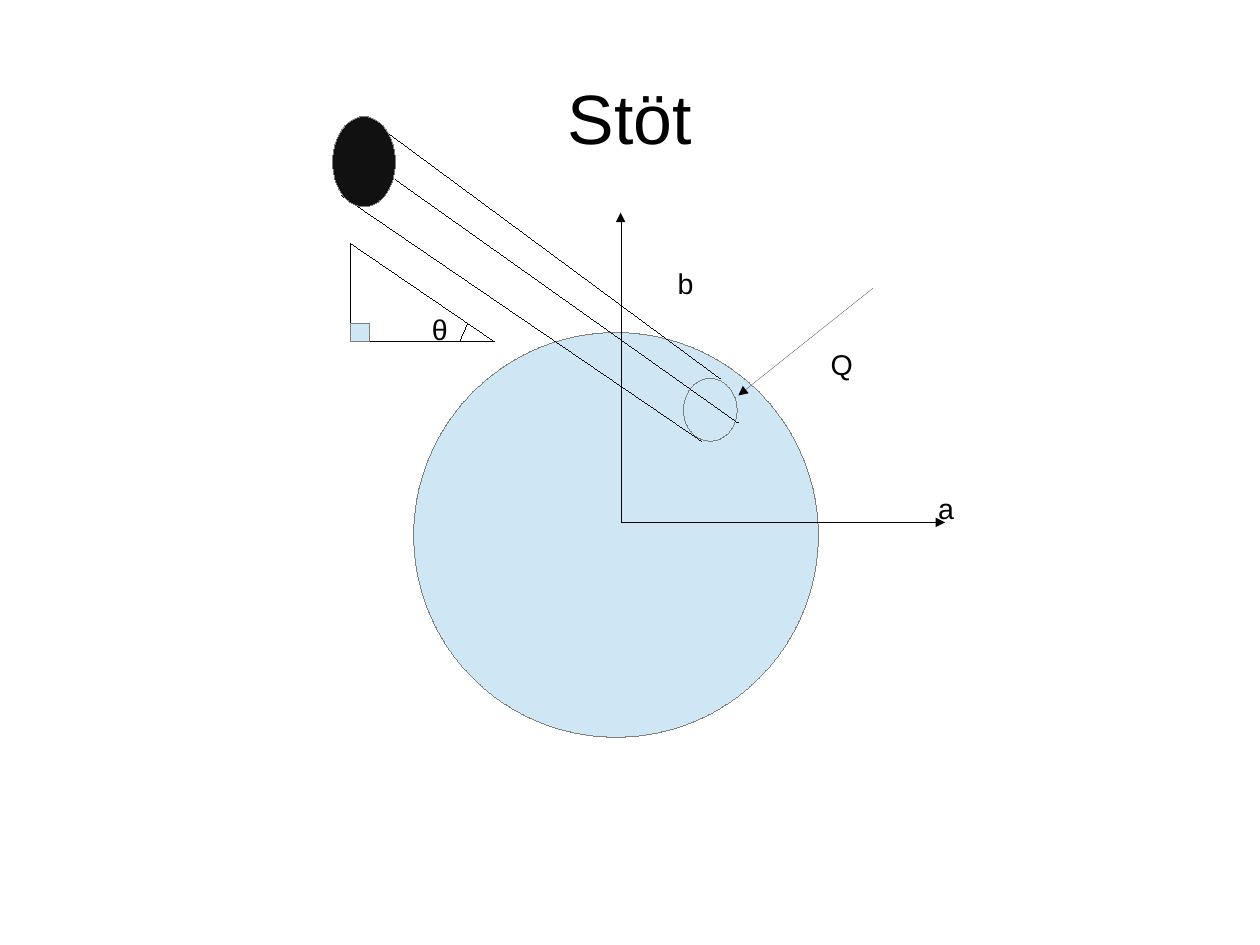
"""Build the slide on a ball being struck off centre."""
from dataclasses import dataclass
from typing import Optional

from lxml.etree import SubElement
from pptx import Presentation
from pptx.dml.color import RGBColor
from pptx.enum.shapes import MSO_CONNECTOR as Connector, MSO_SHAPE as Preset
from pptx.enum.text import MSO_ANCHOR as Anchor, MSO_AUTO_SIZE as AutoSize, PP_ALIGN as Align
from pptx.oxml.ns import qn
from pptx.util import Emu, Pt

SLIDE_WIDTH, SLIDE_HEIGHT = Emu(10080625), Emu(7559675)
PX = 9144
FONT = "Arial"
COLORS = {"black": "000000", "cue": "111111", "ball": "CFE7F5", "outline": "808080"}


@dataclass
class Figure:
    preset: Preset
    left: int
    top: int
    width: int
    height: int
    fill: Optional[str] = None


@dataclass
class Stroke:
    start: tuple[int, int]
    end: tuple[int, int]
    arrow: bool = False


@dataclass
class Label:
    text: str
    left: int
    top: int
    width: int
    height: int = 38
    wrap: bool = True


ORIGIN = (543, 457)
TOP_CORNER, RIGHT_ANGLE, ANGLE_CORNER = (307, 213), (307, 299), (433, 299)

BALL = Figure(Preset.OVAL, 362, 291, 354, 354, "ball")
AXES = [
    Stroke(ORIGIN, (543, 186), arrow=True),
    Stroke(ORIGIN, (827, 457), arrow=True),
]
CONTACT = Figure(Preset.OVAL, 598, 331, 47, 55)
CONTACT_POINTER = Stroke((764, 252), (646, 346), arrow=True)
CUE_LINES = [
    Stroke((630, 331), (331, 110)),
    Stroke((614, 386), (299, 171)),
    Stroke((646, 370), (346, 157)),
]
CUE_END = Figure(Preset.OVAL, 291, 102, 55, 79, "cue")
TRIANGLE = [
    Stroke(TOP_CORNER, RIGHT_ANGLE),
    Stroke(ANGLE_CORNER, RIGHT_ANGLE),
    Stroke(TOP_CORNER, ANGLE_CORNER),
]
RIGHT_ANGLE_MARK = Figure(Preset.RECTANGLE, 307, 283, 16, 16, "ball")
ANGLE_MARK = Stroke((409, 283), (402, 299))
DRAWING = [
    BALL, *AXES, CONTACT, CONTACT_POINTER, *CUE_LINES,
    CUE_END, *TRIANGLE, RIGHT_ANGLE_MARK, ANGLE_MARK,
]
LABELS = [
    Label("a", 811, 425, 31),
    Label("b", 583, 228, 34),
    Label("Q", 717, 299, 39, wrap=False),
    Label("θ", 368, 268, 34, 39, wrap=False),
]


def px(*lengths: int) -> list[Emu]:
    return [Emu(length * PX) for length in lengths]


def color(name: str) -> RGBColor:
    return RGBColor.from_string(COLORS[name])


def format_paragraph(paragraph, size: int, alignment: Align) -> None:
    paragraph.alignment = alignment
    paragraph.font.name = FONT
    paragraph.font.size = Pt(size)
    paragraph.font.color.rgb = color("black")


def set_hairline(shape, name: str) -> None:
    shape.line.color.rgb = color(name)
    shape._element.spPr.find(qn("a:ln")).set("w", "0")


def set_title(slide, text: str) -> None:
    title = slide.shapes.title
    title.left, title.top, title.width, title.height = px(55, 33, 992, 138)
    frame = title.text_frame
    frame.text = text
    frame.vertical_anchor = Anchor.MIDDLE
    frame.margin_left = frame.margin_top = frame.margin_right = frame.margin_bottom = 0
    format_paragraph(frame.paragraphs[0], 44, Align.CENTER)


def draw_figure(slide, figure: Figure) -> None:
    box = px(figure.left, figure.top, figure.width, figure.height)
    shape = slide.shapes.add_shape(figure.preset, *box)
    shape.shadow.inherit = False
    if figure.fill:
        shape.fill.solid()
        shape.fill.fore_color.rgb = color(figure.fill)
    else:
        shape.fill.background()
    set_hairline(shape, "outline")


def draw_stroke(slide, stroke: Stroke) -> None:
    ends = px(*stroke.start, *stroke.end)
    connector = slide.shapes.add_connector(Connector.STRAIGHT, *ends)
    set_hairline(connector, "black")
    properties = connector._element.spPr
    if stroke.arrow:
        SubElement(properties.find(qn("a:ln")), qn("a:tailEnd"), type="triangle")
    SubElement(properties, qn("a:effectLst"))


def draw_label(slide, label: Label) -> None:
    box = px(label.left, label.top, label.width, label.height)
    frame = slide.shapes.add_textbox(*box).text_frame
    frame.text = label.text
    frame.word_wrap = label.wrap
    frame.auto_size = AutoSize.SHAPE_TO_FIT_TEXT
    format_paragraph(frame.paragraphs[0], 18, Align.LEFT)


def main() -> None:
    presentation = Presentation()
    presentation.slide_width, presentation.slide_height = SLIDE_WIDTH, SLIDE_HEIGHT
    slide = presentation.slides.add_slide(presentation.slide_layouts[5])
    set_title(slide, "Stöt")
    for part in DRAWING:
        if isinstance(part, Figure):
            draw_figure(slide, part)
        else:
            draw_stroke(slide, part)
    for label in LABELS:
        draw_label(slide, label)
    presentation.save("out.pptx")


if __name__ == "__main__":
    main()
